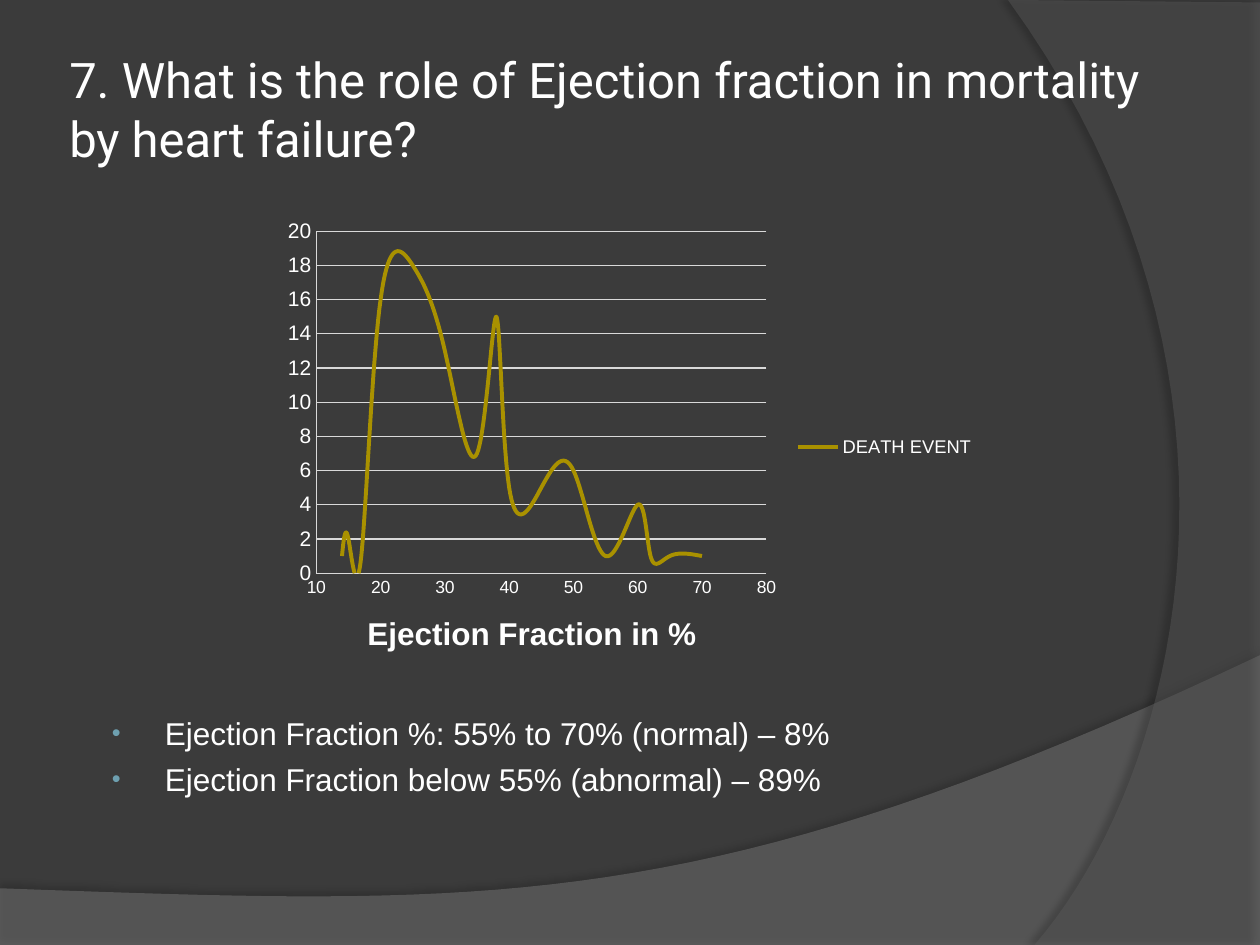
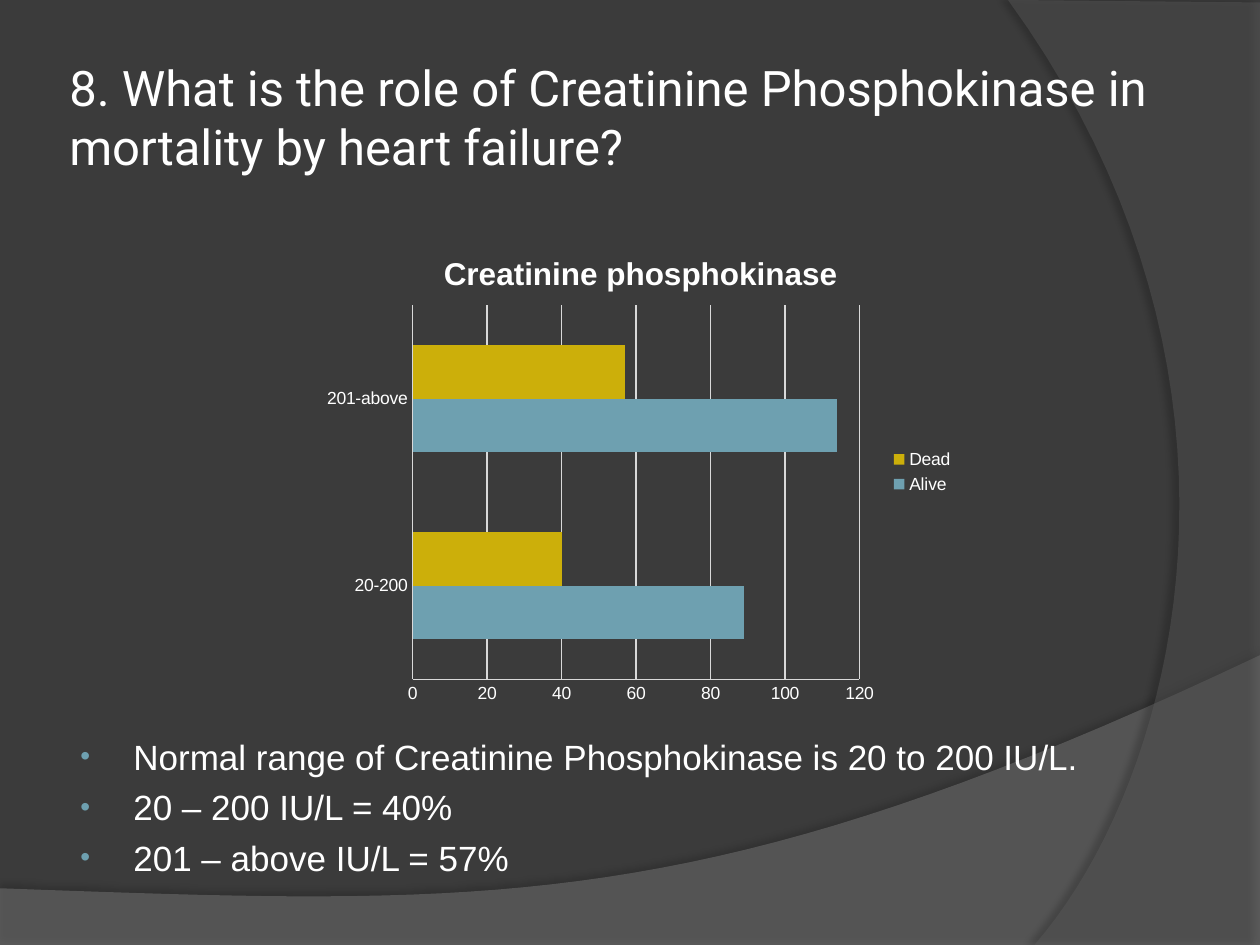
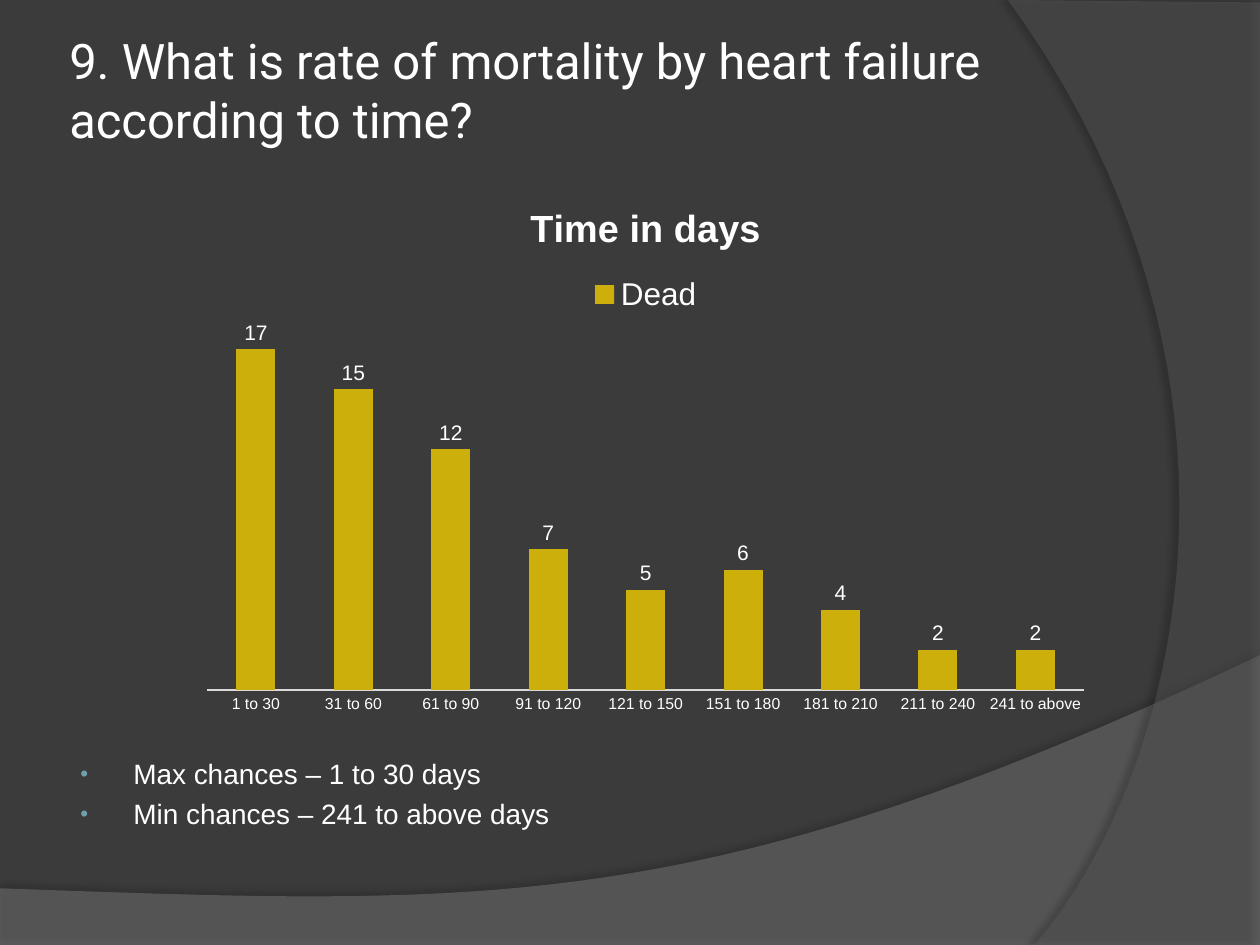
from lxml.etree import SubElement
from pptx import Presentation
from pptx.chart.data import CategoryChartData, XyChartData
from pptx.dml.color import RGBColor
from pptx.enum.chart import XL_CHART_TYPE as ChartType
from pptx.enum.chart import XL_LABEL_POSITION as LabelPosition
from pptx.enum.chart import XL_LEGEND_POSITION as LegendPosition
from pptx.enum.chart import XL_TICK_MARK as TickMark
from pptx.enum.text import MSO_ANCHOR as Anchor
from pptx.oxml.ns import qn
from pptx.util import Inches, Pt

BACKDROP = RGBColor(0x3B, 0x3B, 0x3B)
LOWER_WAVE = RGBColor(0x7F, 0x7F, 0x7F)
SIDE_ARC = RGBColor(0x5E, 0x5E, 0x5E)
WHITE = RGBColor(0xFF, 0xFF, 0xFF)
GRID = RGBColor(0xD9, 0xD9, 0xD9)
BLUE = RGBColor(0x6E, 0xA0, 0xB0)
GOLD = RGBColor(0xCC, 0xAF, 0x0A)
DARK_GOLD = RGBColor(0xA9, 0x91, 0x00)
TITLE_FONT = "Roboto"
BODY_FONT = "Arial"
CURVE_STEPS = 40


def curve(start, first, second, end):
    points = []
    for step in range(CURVE_STEPS + 1):
        t = step / CURVE_STEPS
        weights = ((1 - t) ** 3, 3 * t * (1 - t) ** 2, 3 * t * t * (1 - t), t ** 3)
        corners = (start, first, second, end)
        points.append(tuple(sum(w * c[axis] for w, c in zip(weights, corners))
                            for axis in (0, 1)))
    return points


def add_band(page, points, color, opacity, shadow):
    spots = [(Inches(x), Inches(y)) for x, y in points]
    builder = page.shapes.build_freeform(*spots[0])
    builder.add_line_segments(spots[1:], close=True)
    band = builder.convert_to_shape()
    band.fill.solid()
    band.fill.fore_color.rgb = color
    band.line.fill.background()
    band.shadow.inherit = False
    properties = band.element.spPr
    fill_color = properties.find(qn("a:solidFill")).find(qn("a:srgbClr"))
    SubElement(fill_color, qn("a:alpha"), val=str(opacity * 1000))
    shade, distance, angle = shadow
    outer = SubElement(properties.find(qn("a:effectLst")), qn("a:outerShdw"),
                       blurRad=str(Pt(4)), dist=str(Pt(distance)),
                       dir=str(angle * 60000), algn="ctr", rotWithShape="0")
    shade_color = SubElement(outer, qn("a:srgbClr"), val="000000")
    SubElement(shade_color, qn("a:alpha"), val=str(shade * 1000))
    return band


def decorate_master(deck, page):
    master = deck.slide_master
    master.background.fill.solid()
    master.background.fill.fore_color.rgb = BACKDROP
    wave = [(0, 7.05), (0, 7.51), (10, 7.51)]
    wave += curve((10, 5.2), (5.59, 7.29), (3.91, 7.19), (0, 7.05))
    arc = [(10, 0.02), (10, 7.5)]
    arc += curve((8.21, 7.5), (9.35, 6.19), (10.18, 3), (8, 0))
    bands = [add_band(page, wave, LOWER_WAVE, 45, (35, 3.5, 270)),
             add_band(page, arc, SIDE_ARC, 40, (45, 4, 180))]
    for number, band in enumerate(bands, start=50):
        band.element.nvSpPr.cNvPr.set("id", str(number))
        master.shapes.element.append(band.element)


def style_font(font, size, name=BODY_FONT, bold=False):
    font.name = name
    font.size = Pt(size)
    font.bold = bold
    font.color.rgb = WHITE


def add_text_box(page, box):
    frame = page.shapes.add_textbox(*map(Inches, box)).text_frame
    frame.word_wrap = True
    return frame


def add_title(page, box, text):
    frame = add_text_box(page, box)
    frame.vertical_anchor = Anchor.MIDDLE
    frame.margin_left = frame.margin_right = Inches(0.05)
    frame.margin_top = frame.margin_bottom = Inches(0.05)
    frame.text = text
    style_font(frame.paragraphs[0].runs[0].font, 28, TITLE_FONT)


def add_bullets(page, box, lines, size):
    frame = add_text_box(page, box)
    frame.vertical_anchor = Anchor.BOTTOM
    frame.margin_top = frame.margin_bottom = 0
    frame.text = "\n".join(lines)
    for para in frame.paragraphs:
        para.space_before = Pt(size * 0.24)
        style_font(para.runs[0].font, size)
        properties = para._p.get_or_add_pPr()
        properties.set("marL", str(Inches(0.46)))
        properties.set("indent", str(Inches(-0.42)))
        bullet_color = SubElement(properties, qn("a:buClr"))
        SubElement(bullet_color, qn("a:srgbClr"), val=str(BLUE))
        SubElement(properties, qn("a:buSzPct"), val="80000")
        SubElement(properties, qn("a:buFont"), typeface=BODY_FONT)
        SubElement(properties, qn("a:buChar"), char="•")


def set_plot_area(chart, area):
    plot_area = chart.element.find(qn("c:chart")).find(qn("c:plotArea"))
    for old in plot_area.findall(qn("c:layout")):
        plot_area.remove(old)
    layout = SubElement(plot_area, qn("c:layout"))
    plot_area.insert(0, layout)
    manual = SubElement(layout, qn("c:manualLayout"))
    SubElement(manual, qn("c:layoutTarget"), val="inner")
    for mode in ("xMode", "yMode"):
        SubElement(manual, qn(f"c:{mode}"), val="edge")
    for side, share in zip("xywh", area):
        SubElement(manual, qn(f"c:{side}"), val=str(share))


def style_axis(axis, size, grid=False):
    axis.major_tick_mark = axis.minor_tick_mark = TickMark.NONE
    style_font(axis.tick_labels.font, size)
    axis.format.line.color.rgb = GRID
    axis.format.line.width = Pt(0.75)
    axis.has_major_gridlines = grid
    if grid:
        axis.major_gridlines.format.line.color.rgb = GRID
        axis.major_gridlines.format.line.width = Pt(0.75)


def set_scale(axis, low, high, step):
    axis.minimum_scale, axis.maximum_scale, axis.major_unit = low, high, step


def set_heading(owner, text, size):
    owner.text_frame.text = text
    style_font(owner.text_frame.paragraphs[0].runs[0].font, size, bold=True)


def add_chart(page, box, kind, data, area, legend_side, legend_size, title=None, title_size=18):
    chart = page.shapes.add_chart(kind, *map(Inches, box), data).chart
    style_font(chart.font, 10)
    chart.has_title = title is not None
    if title:
        set_heading(chart.chart_title, title, title_size)
    chart.has_legend = True
    chart.legend.position = legend_side
    chart.legend.include_in_layout = False
    style_font(chart.legend.font, legend_size)
    chart.plots[0].vary_by_categories = False
    set_plot_area(chart, area)
    return chart


def category_data(categories, **series):
    data = CategoryChartData()
    data.categories = categories
    for name, values in series.items():
        data.add_series(name, values)
    return data


def fill_bars(plot, colors):
    plot.gap_width = 150
    for series, color in zip(plot.series, colors):
        series.format.fill.solid()
        series.format.fill.fore_color.rgb = color


def add_ejection_chart(page, box):
    fractions = (14, 15, 17, 20, 25, 30, 35, 38, 40, 45, 50, 55, 60, 62, 65, 70)
    deaths = (1, 2, 1, 16, 18, 13, 7, 15, 5, 5, 6, 1, 4, 1, 1, 1)
    data = XyChartData()
    series = data.add_series("DEATH EVENT")
    for fraction, death in zip(fractions, deaths):
        series.add_data_point(fraction, death)
    chart = add_chart(page, box, ChartType.XY_SCATTER_SMOOTH_NO_MARKERS, data,
                      (0.06, 0.044, 0.63, 0.724), LegendPosition.RIGHT, 10.5)
    style_axis(chart.category_axis, 10)
    style_axis(chart.value_axis, 12, grid=True)
    set_scale(chart.category_axis, 10, 80, 10)
    set_scale(chart.value_axis, 0, 20, 2)
    set_heading(chart.category_axis.axis_title, "Ejection Fraction in %", 18)
    line = chart.plots[0].series[0].format.line
    line.color.rgb = DARK_GOLD
    line.width = Pt(2.25)
    for smooth in chart.element.iter(qn("c:smooth")):
        smooth.set("val", "1")


def add_creatinine_chart(page, box):
    data = category_data(("20-200", "201-above"), Alive=(89, 114), Dead=(40, 57))
    chart = add_chart(page, box, ChartType.BAR_CLUSTERED, data,
                      (0.15, 0.155, 0.686, 0.775), LegendPosition.RIGHT, 10,
                      "Creatinine phosphokinase")
    style_axis(chart.category_axis, 10)
    style_axis(chart.value_axis, 10, grid=True)
    set_scale(chart.value_axis, 0, 120, 20)
    chart.plots[0].overlap = 0
    fill_bars(chart.plots[0], (BLUE, GOLD))


def add_time_chart(page, box):
    starts = range(1, 241, 30)
    periods = [f"{start} to {start + 29}" for start in starts] + ["241 to above"]
    data = category_data(periods, Dead=(17, 15, 12, 7, 5, 6, 4, 2, 2))
    chart = add_chart(page, box, ChartType.COLUMN_CLUSTERED, data,
                      (0.02, 0.275, 0.96, 0.662), LegendPosition.TOP, 18,
                      "Time in days", 21.6)
    style_axis(chart.category_axis, 9)
    style_axis(chart.value_axis, 10)
    set_scale(chart.value_axis, 0, 18, 2)
    chart.value_axis.visible = False
    plot = chart.plots[0]
    plot.overlap = -25
    fill_bars(plot, (GOLD,))
    plot.has_data_labels = True
    plot.data_labels.show_value = True
    plot.data_labels.position = LabelPosition.OUTSIDE_END
    style_font(plot.data_labels.font, 12)


def main():
    deck = Presentation()
    deck.slide_width, deck.slide_height = Inches(10), Inches(7.5)
    ejection, creatinine, time = [deck.slides.add_slide(deck.slide_layouts[6])
                                  for _ in range(3)]
    decorate_master(deck, ejection)

    add_title(ejection, (0.5, 0.3, 9, 1.12),
              "7. What is the role of Ejection fraction in mortality by heart failure?")
    add_bullets(ejection, (0.75, 5.53, 8.83, 0.8),
                ("Ejection Fraction %: 55% to 70% (normal) – 8%",
                 "Ejection Fraction below 55% (abnormal) – 89%"), 18)
    add_ejection_chart(ejection, (2.17, 1.67, 5.67, 3.75))

    add_title(creatinine, (0.5, 0.3, 8.92, 1.25),
              "8. What is the role of Creatinine Phosphokinase in mortality by heart failure?")
    add_bullets(creatinine, (0.5, 5.77, 8.92, 1.2),
                ("Normal range of Creatinine Phosphokinase is 20 to 200 IU/L.",
                 "20 – 200 IU/L = 40%",
                 "201 – above IU/L = 57%"), 20)
    add_creatinine_chart(creatinine, (2.5, 1.83, 5.17, 3.83))

    add_title(time, (0.5, 0.17, 9, 1.08),
              "9. What is rate of mortality by heart failure according to time?")
    add_bullets(time, (0.5, 5.89, 8.92, 0.7),
                ("Max chances – 1 to 30 days", "Min chances – 241 to above days"), 16)
    add_time_chart(time, (1.5, 1.42, 7.25, 4.33))

    deck.save("out.pptx")


if __name__ == "__main__":
    main()
